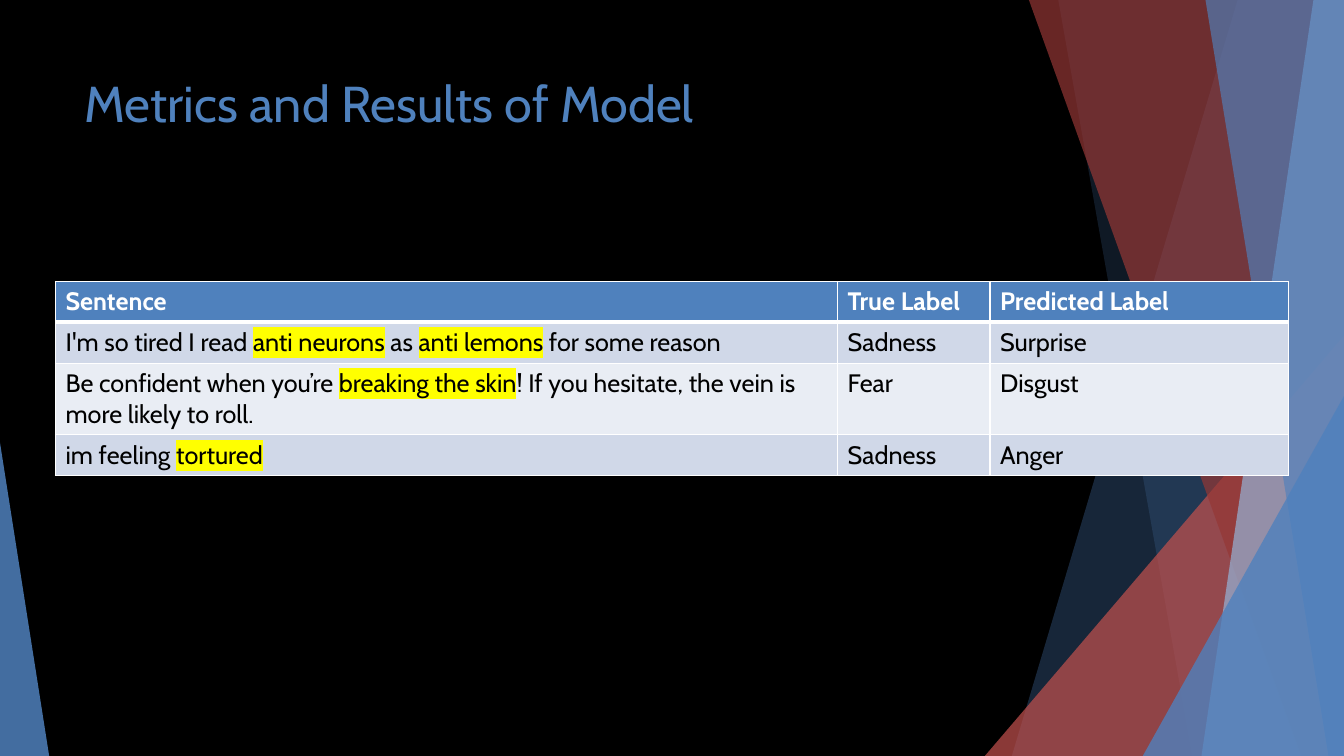
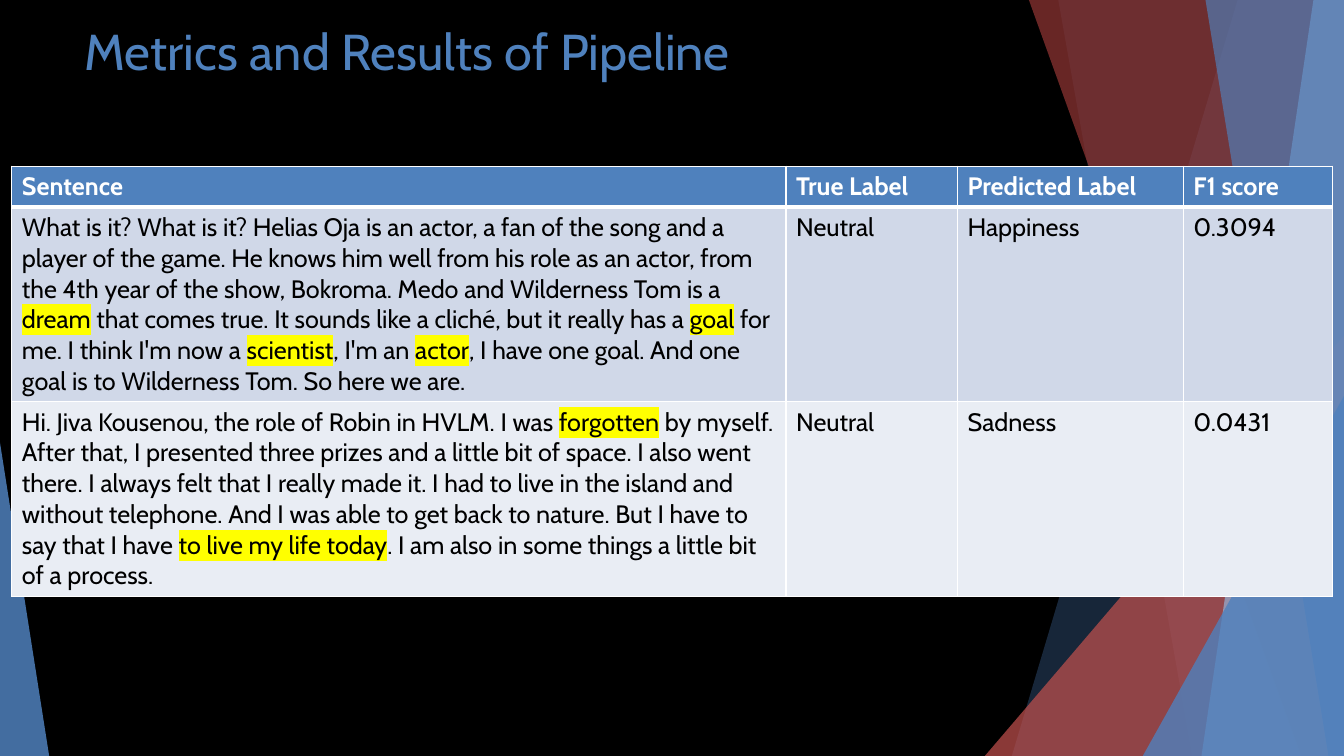
from dataclasses import dataclass

from pptx import Presentation
from pptx.dml.color import RGBColor as Rgb
from pptx.enum.shapes import MSO_CONNECTOR as Connector, MSO_SHAPE as Preset
from pptx.enum.text import MSO_ANCHOR as Anchor, MSO_AUTO_SIZE as AutoSize, PP_ALIGN as Align
from pptx.oxml.xmlchemy import OxmlElement
from pptx.util import Cm, Pt

PAGE_WIDTH, PAGE_HEIGHT = 33.87, 19.05


@dataclass(frozen=True)
class Theme:
    font: str = "Cabin"
    title_size: int = 36
    table_size: int = 18
    black: str = "000000"
    white: str = "FFFFFF"
    blue: str = "4F81BD"
    pale_blue: str = "95B3D7"
    red: str = "C0504D"
    dark_red: str = "953735"
    highlight: str = "FFFF00"
    bands: tuple = ("D0D8E8", "E9EDF4")
    thin_border: int = 1
    thick_border: int = 3


THEME = Theme()


@dataclass(frozen=True)
class Box:
    left: float
    top: float
    width: float
    height: float

    def lengths(self):
        return [Cm(value) for value in (self.left, self.top, self.width, self.height)]


def paint(shape, color, opacity):
    """Fill a shape with a translucent colour, without outline or shadow."""
    shape.shadow.inherit = False
    shape.line.fill.background()
    shape.fill.solid()
    shape.fill.fore_color.rgb = Rgb.from_string(color)
    alpha = OxmlElement("a:alpha")
    alpha.set("val", str(opacity * 1000))
    shape.element.xpath("./p:spPr/a:solidFill/a:srgbClr")[0].append(alpha)


def add_ray(group, start, end):
    ray = group.shapes.add_connector(Connector.STRAIGHT, *map(Cm, start + end))
    ray.line.color.rgb = Rgb.from_string(THEME.black)
    ray.line.width = Pt(0.75)
    ray.element.spPr.append(OxmlElement("a:effectLst"))


def add_shard(group, top_left, bottom_left, color, opacity):
    """Add a full-height panel with a slanted left side, flush with the right edge."""
    outline = group.shapes.build_freeform(Cm(top_left), 0)
    outline.add_line_segments([
        (Cm(PAGE_WIDTH), 0),
        (Cm(PAGE_WIDTH), Cm(PAGE_HEIGHT)),
        (Cm(bottom_left), Cm(PAGE_HEIGHT)),
    ])
    paint(outline.convert_to_shape(), color, opacity)


def add_corner(group, left, top, right, apex, color, opacity):
    """Add a triangle that stands on the bottom edge; apex is 0 (left) to 1 (right)."""
    box = Box(left, top, right - left, PAGE_HEIGHT - top)
    corner = group.shapes.add_shape(Preset.ISOSCELES_TRIANGLE, *box.lengths())
    corner.adjustments[0] = apex
    paint(corner, color, opacity)


def decorate_layout(layout, page):
    """Draw the facets on a page, then move them to the layout that all pages share."""
    layout.background.fill.solid()
    layout.background.fill.fore_color.rgb = Rgb.from_string(THEME.black)
    group = page.shapes.add_group_shape()
    add_ray(group, (26.04, 0), (29.41, PAGE_HEIGHT))
    add_ray(group, (PAGE_WIDTH, 10.24), (20.62, PAGE_HEIGHT))
    add_shard(group, 31.19, 25.5, THEME.blue, 30)
    add_shard(group, 26.67, 30.05, THEME.blue, 20)
    add_corner(group, 24.82, 8.46, PAGE_WIDTH, 1, THEME.red, 72)
    add_shard(group, 25.93, 32.79, THEME.dark_red, 70)
    add_shard(group, 33.1, 30.28, THEME.pale_blue, 70)
    add_shard(group, 30.38, 33.48, THEME.blue, 65)
    add_corner(group, 28.8, 9.98, PAGE_WIDTH, 1, THEME.blue, 80)
    add_corner(group, 0, 11.15, 1.24, 0, THEME.blue, 85)
    for number, properties in enumerate(group.element.xpath(".//p:cNvPr"), 100):
        properties.set("id", str(number))
    layout.shapes.element.insert(2, group.element)


def style_run(span, size, color, bold=False):
    span.font.size = Pt(size)
    span.font.bold = bold
    span.font.color.rgb = Rgb.from_string(color)
    span.font.name = THEME.font


def fill_title(title, text, box):
    title.left, title.top, title.width, title.height = box.lengths()
    frame = title.text_frame
    frame.text = text
    frame.word_wrap = True
    frame.auto_size = AutoSize.NONE
    frame.vertical_anchor = Anchor.TOP
    para = frame.paragraphs[0]
    para.alignment = Align.LEFT
    style_run(para.runs[0], THEME.title_size, THEME.blue)


def mark(span):
    """Give a coloured run the highlighter background, right after its text colour."""
    highlight = OxmlElement("a:highlight")
    color = OxmlElement("a:srgbClr")
    color.set("val", THEME.highlight)
    highlight.append(color)
    span._r.xpath("./a:rPr/a:solidFill")[0].addnext(highlight)


def add_borders(cell, top, bottom):
    properties = cell._tc.get_or_add_tcPr()
    widths = {"L": THEME.thin_border, "R": THEME.thin_border, "T": top, "B": bottom}
    for side, width in widths.items():
        line = OxmlElement(f"a:ln{side}")
        line.set("w", str(Pt(width)))
        fill = OxmlElement("a:solidFill")
        color = OxmlElement("a:srgbClr")
        color.set("val", THEME.white)
        fill.append(color)
        line.append(fill)
        properties.append(line)


def fill_cell(cell, text, row):
    """Write a cell; parts of the text between bars are highlighted."""
    is_header = row == 0
    add_borders(
        cell,
        THEME.thick_border if row == 1 else THEME.thin_border,
        THEME.thick_border if is_header else THEME.thin_border,
    )
    cell.fill.solid()
    band = THEME.blue if is_header else THEME.bands[(row - 1) % 2]
    cell.fill.fore_color.rgb = Rgb.from_string(band)
    para = cell.text_frame.paragraphs[0]
    for index, part in enumerate(text.split("|")):
        if not part:
            continue
        span = para.add_run()
        span.text = part
        style_run(span, THEME.table_size, THEME.white if is_header else THEME.black, is_header)
        if index % 2:
            mark(span)


def add_results_table(page, left, top, widths, heights, rows):
    box = Box(left, top, sum(widths), sum(heights))
    table = page.shapes.add_table(len(rows), len(widths), *box.lengths()).table
    table.horz_banding = False
    for column, width in zip(table.columns, widths):
        column.width = Cm(width)
    for row, height in zip(table.rows, heights):
        row.height = Cm(height)
    for number, texts in enumerate(rows):
        for cell, text in zip(table.rows[number].cells, texts):
            fill_cell(cell, text, number)


def build_model_page(page):
    fill_title(page.shapes.title, "Metrics and Results of Model", Box(1.88, 1.7, 23.88, 3.66))
    add_results_table(page, 1.4, 7.09, (19.71, 3.84, 7.52), (1.03, 1.03, 1.79, 1.03), [
        ("Sentence", "True Label", "Predicted Label"),
        ("I'm so tired I read |anti neurons| as |anti lemons| for some reason",
         "Sadness", "Surprise"),
        ("Be confident when you’re |breaking the skin|! If you hesitate, "
         "the vein is more likely to roll.", "Fear", "Disgust"),
        ("im feeling |tortured|", "Sadness", "Anger"),
    ])


def build_pipeline_page(page):
    fill_title(page.shapes.title, "Metrics and Results of Pipeline", Box(1.88, 0.38, 23.88, 2.24))
    add_results_table(page, 0.3, 4.19, (19.51, 4.32, 5.69, 3.76), (1.03, 4.89, 4.89), [
        ("Sentence", "True Label", "Predicted Label", "F1 score"),
        ("What is it? What is it? Helias Oja is an actor, a fan of the song and a player of "
         "the game. He knows him well from his role as an actor, from the 4th year of the "
         "show, Bokroma. Medo and Wilderness Tom is a |dream| that comes true. It sounds like "
         "a cliché, but it really has a |goal| for me. I think I'm now a |scientist|, I'm an "
         "|actor|, I have one goal. And one goal is to Wilderness Tom. So here we are.",
         "Neutral", "Happiness", "0.3094"),
        ("Hi. Jiva Kousenou, the role of Robin in HVLM. I was |forgotten| by myself. After "
         "that, I presented three prizes and a little bit of space. I also went there. I "
         "always felt that I really made it. I had to live in the island and without "
         "telephone. And I was able to get back to nature. But I have to say that I have "
         "|to live my life today|. I am also in some things a little bit of a process.",
         "Neutral", "Sadness", "0.0431"),
    ])


def main():
    deck = Presentation()
    deck.slide_width, deck.slide_height = Cm(PAGE_WIDTH), Cm(PAGE_HEIGHT)
    layout = deck.slide_layouts.get_by_name("Title Only")
    pages = [deck.slides.add_slide(layout) for _ in range(2)]
    decorate_layout(layout, pages[0])
    build_model_page(pages[0])
    build_pipeline_page(pages[1])
    deck.save("out.pptx")


if __name__ == "__main__":
    main()
